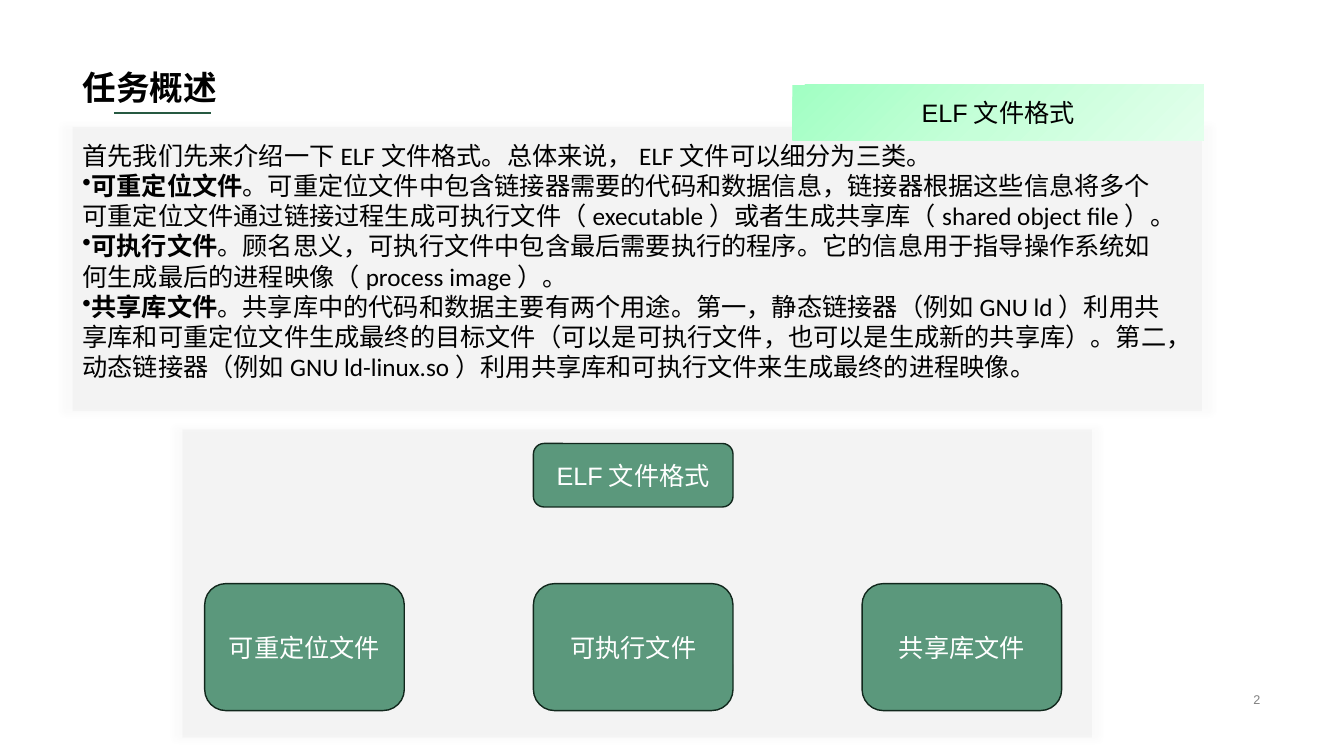
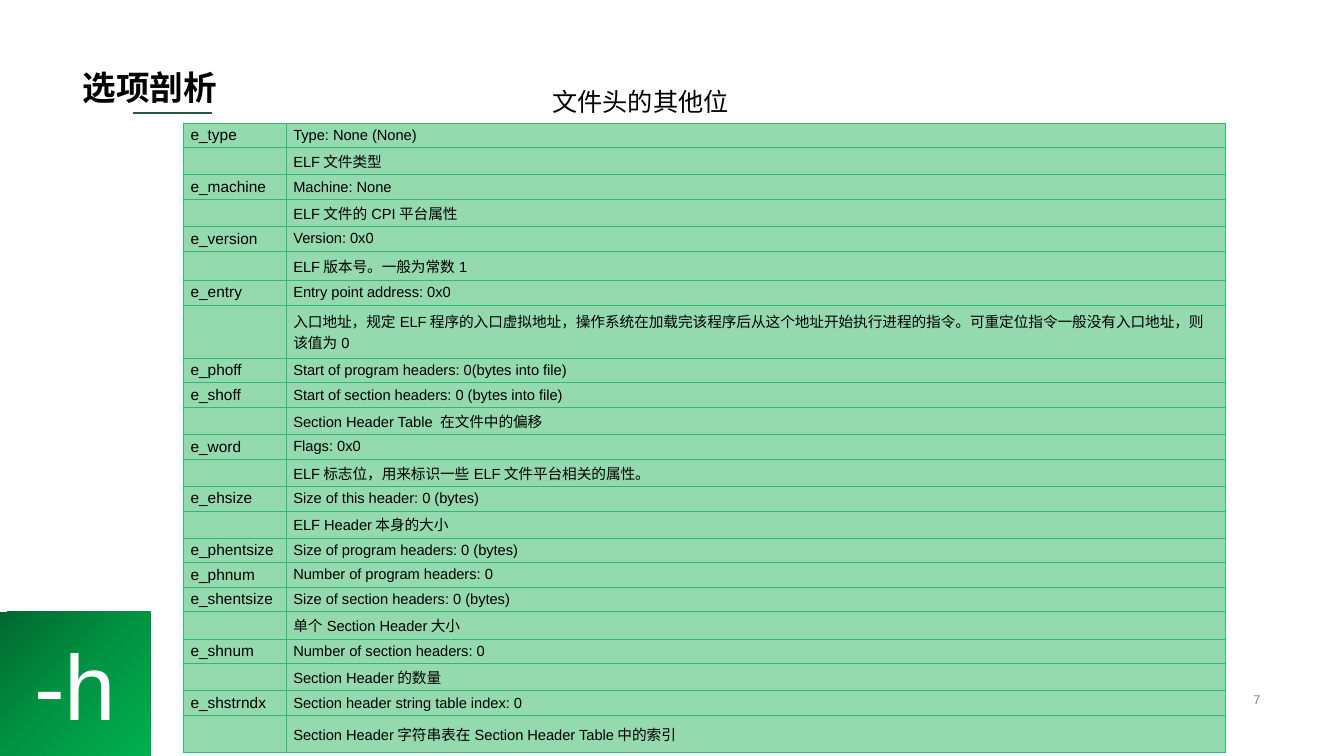
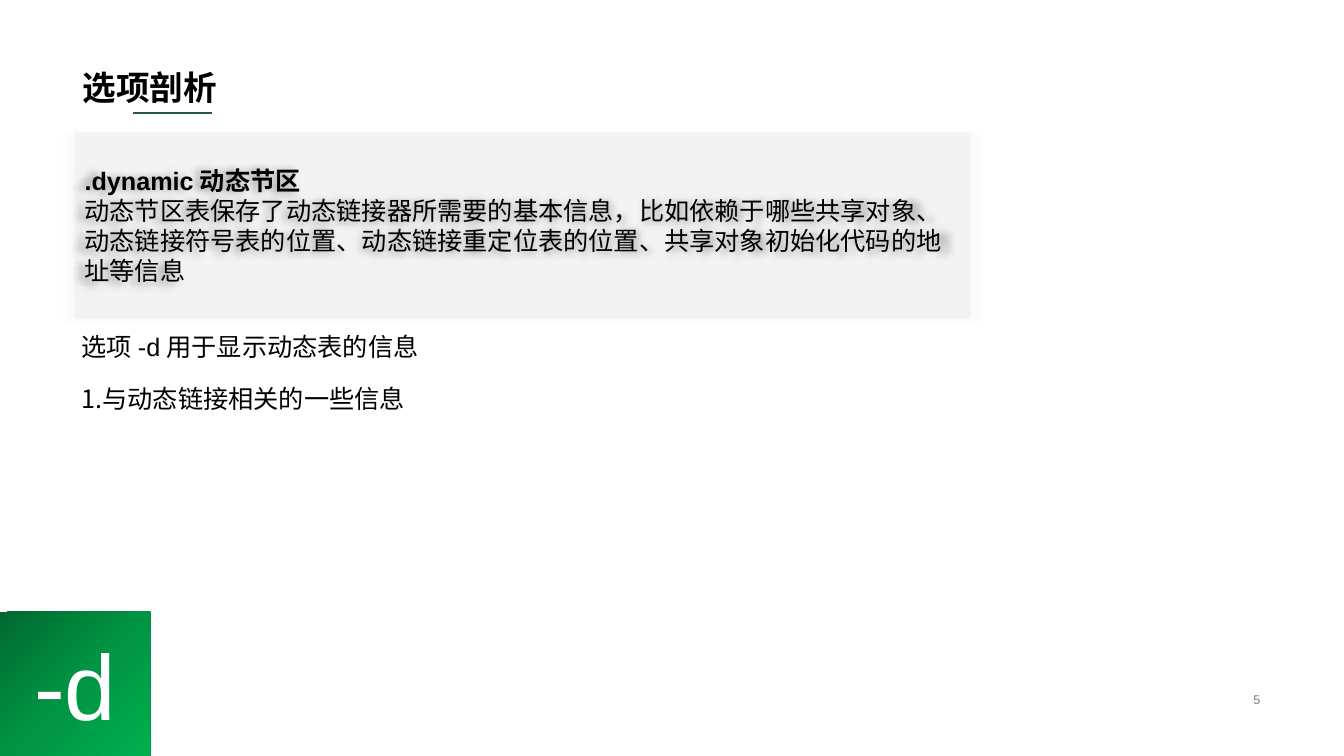
import copy

import lxml.etree
import pptx
import pptx.dml.color
import pptx.enum.shapes
import pptx.enum.text
import pptx.oxml.ns
import pptx.util

Inches = pptx.util.Inches
Pt = pptx.util.Pt
qn = pptx.oxml.ns.qn
SHAPE = pptx.enum.shapes.MSO_SHAPE
ANCHOR = pptx.enum.text.MSO_ANCHOR
ALIGN = pptx.enum.text.PP_ALIGN

FONT = "Arial"
BODY_FONT = "Calibri"
BLACK = "000000"
WHITE = "FFFFFF"
GRAY = "808080"
RULE_GREEN = "265941"
NODE_FILL = "5B987C"
NODE_LINE = "11271C"
TABLE_FILL = "94DAAE"
TABLE_LINE = "2BBB77"
BADGE_GRADIENT = ["00682F", "009443", "00B050"]
TAG_GRADIENT = ["A1FFC3", "C6FFD9", "E3FFEC"]

INTRO = [
    ("", "首先我们先来介绍一下ELF文件格式。总体来说，ELF文件可以细分为三类。"),
    ("可重定位文件", "。可重定位文件中包含链接器需要的代码和数据信息，链接器根据这些信息将多个可重定位文件"
     "通过链接过程生成可执行文件（executable）或者生成共享库（shared object file）。"),
    ("可执行文件", "。顾名思义，可执行文件中包含最后需要执行的程序。它的信息用于指导操作系统如何生成最后的"
     "进程映像（process image）。"),
    ("共享库文件", "。共享库中的代码和数据主要有两个用途。第一，静态链接器（例如GNU ld）利用共享库和"
     "可重定位文件生成最终的目标文件（可以是可执行文件，也可以是生成新的共享库）。第二，"
     "动态链接器（例如GNU ld-linux.so）利用共享库和可执行文件来生成最终的进程映像。"),
]

# field name, readelf output, explanation, height of the explanation row
HEADER_FIELDS = [
    ("e_type", "Type: None (None)", "ELF文件类型", 0.27),
    ("e_machine", "Machine: None", "ELF文件的CPI平台属性", 0.27),
    ("e_version", "Version: 0x0", "ELF版本号。一般为常数1", 0.29),
    ("e_entry", "Entry point address: 0x0",
     "入口地址，规定ELF程序的入口虚拟地址，操作系统在加载完该程序后从这个地址开始执行进程的指令。"
     "可重定位指令一般没有入口地址，则该值为0", 0.53),
    ("e_phoff", "Start of program headers: 0(bytes into file)", "", 0),
    ("e_shoff", "Start of section headers: 0 (bytes into file)",
     "Section Header Table 在文件中的偏移", 0.27),
    ("e_word", "Flags: 0x0", "ELF标志位，用来标识一些ELF文件平台相关的属性。", 0.27),
    ("e_ehsize", "Size of this header: 0 (bytes)", "ELF Header本身的大小", 0.27),
    ("e_phentsize", "Size of program headers: 0 (bytes)", "", 0),
    ("e_phnum", "Number of program headers: 0", "", 0),
    ("e_shentsize", "Size of section headers: 0 (bytes)", "单个Section Header大小", 0.27),
    ("e_shnum", "Number of section headers: 0", "Section Header的数量", 0.27),
    ("e_shstrndx", "Section header string table index: 0",
     "Section Header字符串表在Section Header Table中的索引", 0.37),
]


def rgb(value):
    return pptx.dml.color.RGBColor.from_string(value)


def add_run(paragraph, text, size=18, color=BLACK, bold=False, font=FONT):
    run = paragraph.add_run()
    run.text = text
    run.font.name = font
    run.font.size = Pt(size)
    run.font.bold = bold
    run.font.color.rgb = rgb(color)


def add_bullet(paragraph, tag, **attributes):
    properties = paragraph._p.get_or_add_pPr()
    properties.set("marL", "0")
    properties.set("indent", "0")
    lxml.etree.SubElement(properties, qn(tag), attributes)


def add_text_box(slide, box):
    frame = slide.shapes.add_textbox(*map(Inches, box)).text_frame
    frame.word_wrap = True
    return frame


def add_block(shapes, kind, box, line=None):
    shape = shapes.add_shape(kind, *map(Inches, box))
    shape.shadow.inherit = False
    if line:
        shape.line.color.rgb = rgb(line)
        shape.line.width = Pt(1)
    else:
        shape.line.fill.background()
    shape.text_frame.vertical_anchor = ANCHOR.MIDDLE
    return shape


def add_label(shape, text, size=18, color=WHITE):
    paragraph = shape.text_frame.paragraphs[0]
    paragraph.alignment = ALIGN.CENTER
    add_run(paragraph, text, size, color)


def fill_gradient(shape, colors):
    """Spread the colours evenly from the top left to the bottom right."""
    fill = shape.fill
    fill.gradient()
    fill.gradient_angle = 315
    stop_list = shape._element.spPr.find(qn("a:gradFill")).find(qn("a:gsLst"))
    while len(stop_list) < len(colors):
        stop_list.append(copy.deepcopy(stop_list[0]))
    for index, (stop, color) in enumerate(zip(fill.gradient_stops, colors)):
        stop.color.rgb = rgb(color)
        stop.position = index / (len(colors) - 1)


def add_panel(shapes, box):
    """Add a faint gray rectangle with a soft glow-like shadow."""
    panel = add_block(shapes, SHAPE.RECTANGLE, box)
    panel.fill.solid()
    panel.fill.fore_color.rgb = rgb(GRAY)
    properties = panel._element.spPr
    color = properties.find(qn("a:solidFill")).find(qn("a:srgbClr"))
    lxml.etree.SubElement(color, qn("a:alpha"), val="5000")
    shadow = lxml.etree.SubElement(
        properties.find(qn("a:effectLst")), qn("a:outerShdw"),
        blurRad=str(Pt(5)), sx="102000", sy="102000", algn="ctr", rotWithShape="0")
    shadow_color = lxml.etree.SubElement(shadow, qn("a:srgbClr"), val=BLACK)
    lxml.etree.SubElement(shadow_color, qn("a:alpha"), val="40000")
    return panel


def add_slide(presentation, title_text, number, rule_left, rule_right):
    """Add a slide with its title, title rule and page number."""
    slide = presentation.slides.add_slide(presentation.slide_layouts[5])
    title = slide.shapes.title
    title.left, title.top, title.width, title.height = map(Inches, (0.72, 0, 11.88, 1.12))
    title.text_frame.vertical_anchor = ANCHOR.BOTTOM
    paragraph = title.text_frame.paragraphs[0]
    paragraph.alignment = ALIGN.LEFT
    paragraph.line_spacing = 0.9
    add_run(paragraph, title_text, 24, bold=True)

    rule = slide.shapes.add_connector(
        pptx.enum.shapes.MSO_CONNECTOR.STRAIGHT,
        *map(Inches, (rule_left, 1.12, rule_right, 1.12)))
    rule.line.color.rgb = rgb(RULE_GREEN)
    rule.line.width = Pt(1)
    lxml.etree.SubElement(rule._element.spPr, qn("a:effectLst"))

    frame = add_text_box(slide, (9.81, 6.82, 2.79, 0.23))
    frame.vertical_anchor = ANCHOR.MIDDLE
    frame.paragraphs[0].alignment = ALIGN.RIGHT
    add_run(frame.paragraphs[0], number, 9, GRAY)
    return slide


def add_option_slide(presentation, number, option):
    """Add a slide about one option, named in the corner badge."""
    slide = add_slide(presentation, "选项剖析", number, 1.32, 2.1)
    badge = add_block(slide.shapes, SHAPE.RECTANGLE, (0, 6.07, 1.49, 1.43))
    fill_gradient(badge, BADGE_GRADIENT)
    add_label(badge, option, 66)
    return slide


def add_intro(slide, box):
    left, top, width, height = box
    add_panel(slide.shapes, box)
    frame = add_text_box(slide, (left, top + 0.08, width - 0.23, height - 0.3))
    for index, (term, text) in enumerate(INTRO):
        paragraph = frame.add_paragraph() if index else frame.paragraphs[0]
        if term:
            add_bullet(paragraph, "a:buChar", char="•")
            add_run(paragraph, term, bold=True, font=BODY_FONT)
        add_run(paragraph, text, font=BODY_FONT)


def add_file_types(slide, box):
    """Add the grouped diagram: one format above its three file types."""
    left, top = box[:2]
    group = slide.shapes.add_group_shape()
    add_panel(group.shapes, box)
    first, step, width = left + 0.22, 3.26, 1.98
    nodes = [(column, 1.53, 1.26, name) for column, name in
             enumerate(["可重定位文件", "可执行文件", "共享库文件"])]
    nodes.append((1, 0.14, 0.63, "ELF文件格式"))
    for column, offset, height, name in nodes:
        node = add_block(group.shapes, SHAPE.ROUNDED_RECTANGLE,
                         (first + column * step, top + offset, width, height), NODE_LINE)
        node.fill.solid()
        node.fill.fore_color.rgb = rgb(NODE_FILL)
        add_label(node, name)


def format_cell(cell, text, size):
    cell.vertical_anchor = ANCHOR.MIDDLE
    cell.margin_left = cell.margin_right = Inches(0.07)
    cell.margin_top = cell.margin_bottom = Inches(0.03)
    cell.fill.solid()
    cell.fill.fore_color.rgb = rgb(TABLE_FILL)
    properties = cell._tc.get_or_add_tcPr()
    for index, side in enumerate(["a:lnL", "a:lnR", "a:lnT", "a:lnB"]):
        line = lxml.etree.Element(qn(side), w=str(Pt(0.5)))
        solid = lxml.etree.SubElement(line, qn("a:solidFill"))
        lxml.etree.SubElement(solid, qn("a:srgbClr"), val=TABLE_LINE)
        properties.insert(index, line)
    paragraph = cell.text_frame.paragraphs[0]
    if text:
        add_run(paragraph, text, size)
    else:
        lxml.etree.SubElement(paragraph._p, qn("a:endParaRPr"), sz=str(int(size * 100)))


def add_header_table(slide, left, top):
    rows = []
    for name, output, explanation, height in HEADER_FIELDS:
        rows.append((name, output, 0.235))
        if explanation:
            rows.append(("", explanation, height))
    widths = [1.02, 9.31]
    total = sum(height for *_, height in rows)
    table = slide.shapes.add_table(
        len(rows), 2, *map(Inches, (left, top, sum(widths), total))).table
    table.first_row = table.horz_banding = False
    for column, width in zip(table.columns, widths):
        column.width = Inches(width)
    for row, (name, text, height) in zip(table.rows, rows):
        row.height = Inches(height)
        format_cell(row.cells[0], name, 11 if name else 10.5)
        format_cell(row.cells[1], text, 10.5)


def build_overview(presentation):
    slide = add_slide(presentation, "任务概述", "2", 1.13, 2.09)
    add_intro(slide, (0.72, 1.26, 11.2, 2.82))
    tag = add_block(slide.shapes, SHAPE.RECTANGLE, (7.86, 0.84, 4.08, 0.55))
    fill_gradient(tag, TAG_GRADIENT)
    add_label(tag, "ELF文件格式", color=BLACK)
    add_file_types(slide, (1.81, 4.26, 9.02, 3.06))


def build_file_header(presentation):
    slide = add_option_slide(presentation, "7", "-h")
    add_header_table(slide, 1.82, 1.22)
    caption = add_text_box(slide, (5.38, 0.81, 2.27, 0.4))
    add_run(caption.paragraphs[0], "文件头的其他位")


def build_dynamic_section(presentation):
    slide = add_option_slide(presentation, "5", "-d")
    frame = add_panel(slide.shapes, (0.74, 1.31, 8.89, 1.85)).text_frame
    heading, description = frame.paragraphs[0], frame.add_paragraph()
    heading.alignment = description.alignment = ALIGN.LEFT
    add_run(heading, ".dynamic动态节区", bold=True)
    add_run(description, "动态节区表保存了动态链接器所需要的基本信息，比如依赖于哪些共享对象、"
            "动态链接符号表的位置、动态链接重定位表的位置、共享对象初始化代码的地址等信息")
    usage = add_text_box(slide, (0.71, 3.24, 7.65, 0.71))
    add_run(usage.paragraphs[0], "选项-d用于显示动态表的信息")
    item = add_text_box(slide, (0.71, 3.75, 6.32, 0.4)).paragraphs[0]
    add_bullet(item, "a:buAutoNum", type="arabicPeriod")
    add_run(item, "与动态链接相关的一些信息", font=BODY_FONT)


def main():
    presentation = pptx.Presentation()
    presentation.slide_width = Inches(13.33)
    presentation.slide_height = Inches(7.5)
    build_overview(presentation)
    build_file_header(presentation)
    build_dynamic_section(presentation)
    presentation.save("out.pptx")


if __name__ == "__main__":
    main()
